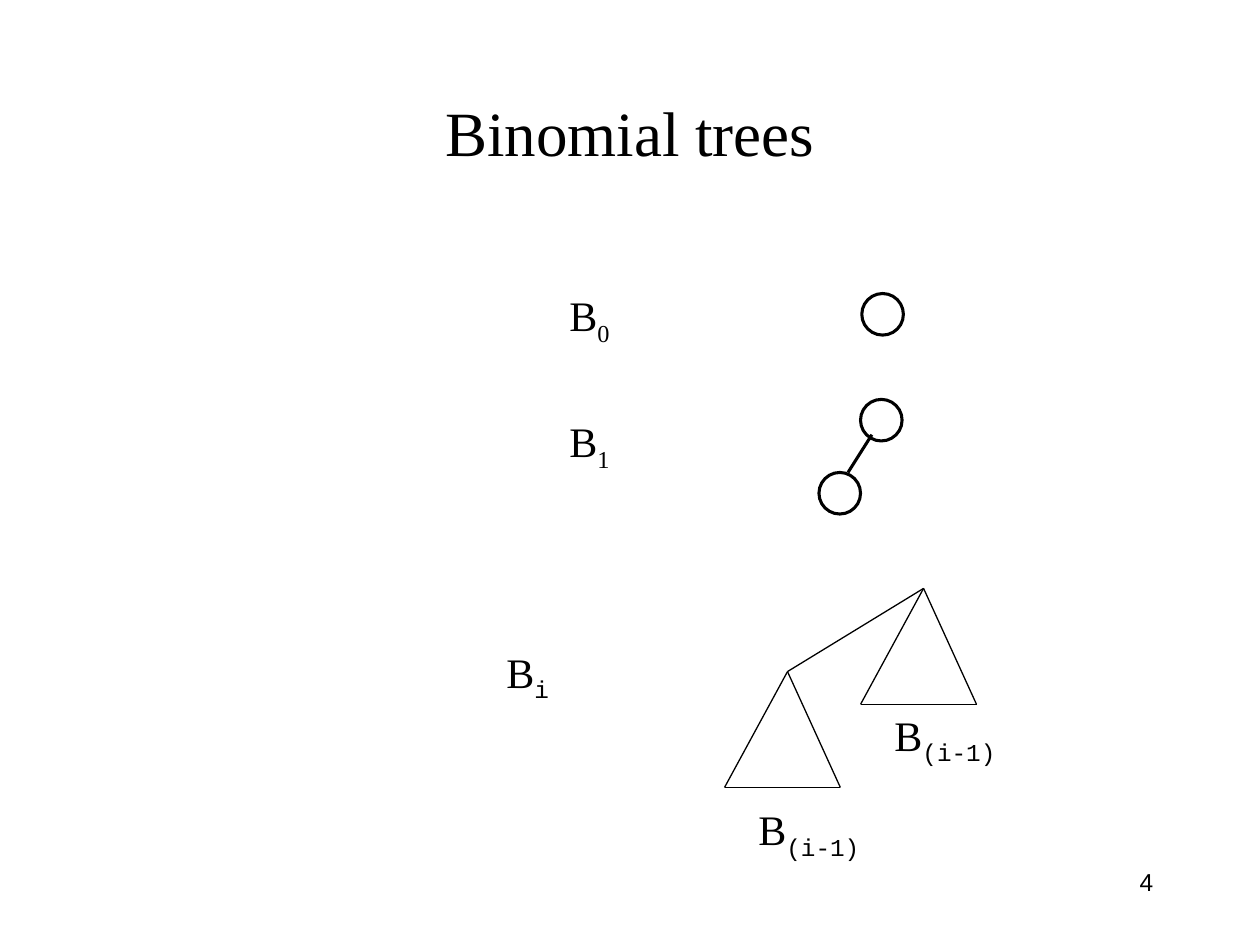
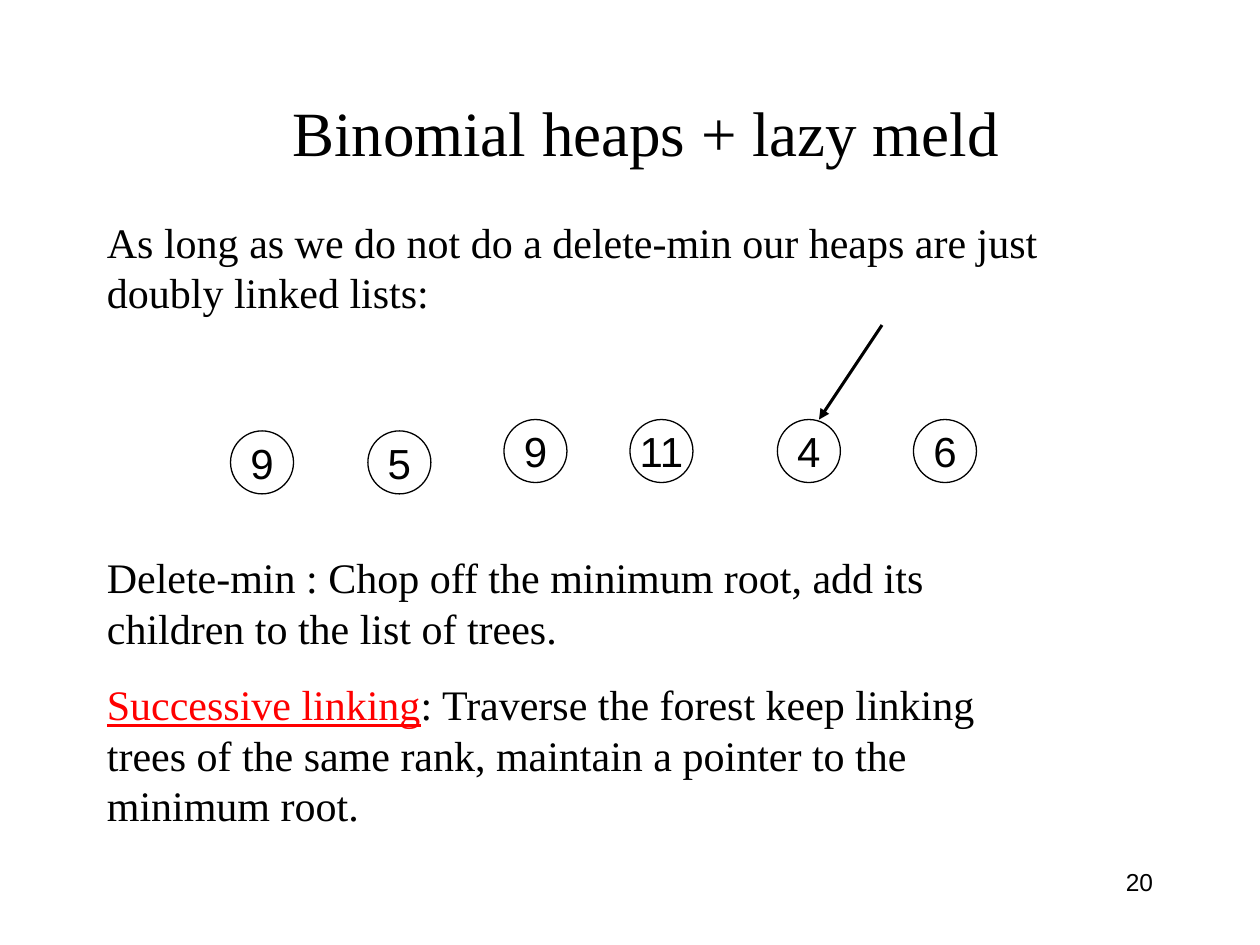
from itertools import pairwise

from pptx import Presentation
from pptx.dml.color import RGBColor
from pptx.enum.shapes import MSO_CONNECTOR, MSO_SHAPE
from pptx.enum.text import MSO_ANCHOR, PP_ALIGN
from pptx.oxml.ns import qn
from pptx.util import Inches, Pt
from lxml.etree import SubElement

INK, ACCENT = "000000", "FF0000"
SERIF, MONO, DIGITS = "Times New Roman", "Courier New", "Arial"
TITLE_SIZE, BODY_SIZE, NUMBER_SIZE = 36, 24, 14
THIN, THICK = 0.75, 1.75
PARA_GAP = 15
LABEL_HEIGHT = 0.56
NODE, KEY_NODE = 0.33, 0.5


def color(value):
    return RGBColor.from_string(value)


def add_span(para, text, size=BODY_SIZE, name=SERIF, ink=INK, underline=None):
    span = para.add_run()
    span.text = text
    formats = {"size": Pt(size), "name": name, "underline": underline}
    for key, value in formats.items():
        setattr(span.font, key, value)
    span.font.color.rgb = color(ink)
    return span


def add_subscript(para, text, name):
    span = add_span(para, text, name=name)
    span._r.get_or_add_rPr().set("baseline", "-25000")


def add_rtl_number(para, text, size):
    """Right-to-left digits, which take the complex-script font."""
    para._p.get_or_add_pPr().set("rtl", "1")
    span = add_span(para, text, size)
    SubElement(span._r.get_or_add_rPr(), qn("a:cs"), typeface=DIGITS)


def add_text(page, left, top, width, height, anchor=MSO_ANCHOR.TOP):
    box = page.shapes.add_textbox(*map(Inches, (left, top, width, height)))
    frame = box.text_frame
    frame.word_wrap = True
    frame.vertical_anchor = anchor
    return frame


def add_line(shapes, start, end, width=THIN, arrow=False):
    line = shapes.add_connector(MSO_CONNECTOR.STRAIGHT,
                                *map(Inches, (*start, *end)))
    line.line.color.rgb = color(INK)
    line.line.width = Pt(width)
    if arrow:
        SubElement(line.line._get_or_add_ln(), qn("a:tailEnd"), type="triangle")
    SubElement(line._element.spPr, qn("a:effectLst"))


def add_circle(page, left, top, size, width):
    circle = page.shapes.add_shape(
        MSO_SHAPE.OVAL, *map(Inches, (left, top, size, size)))
    circle.shadow.inherit = False
    circle.fill.background()
    circle.line.color.rgb = color(INK)
    circle.line.width = Pt(width)
    return circle


def add_page(deck, title, number, indent=0):
    page = deck.slides.add_slide(deck.slide_layouts[6])
    frame = add_text(page, 7.17, 6.83, 2.08, 0.5)
    frame.paragraphs[0].alignment = PP_ALIGN.RIGHT
    add_rtl_number(frame.paragraphs[0], number, NUMBER_SIZE)
    frame = add_text(page, 0.75, 0.42, 8.5, 1.25, MSO_ANCHOR.MIDDLE)
    frame.margin_left = Inches(0.1 + indent)
    frame.paragraphs[0].alignment = PP_ALIGN.CENTER
    add_span(frame.paragraphs[0], title, TITLE_SIZE)
    return page


def add_tree_label(page, left, top, width, rank, name=MONO):
    para = add_text(page, left, top, width, LABEL_HEIGHT).paragraphs[0]
    add_span(para, "B")
    add_subscript(para, rank, name)


def add_linked_pair(page, left, top):
    add_circle(page, left + 0.33, top, NODE, THICK)
    add_circle(page, left, top + 0.58, NODE, THICK)
    add_line(page.shapes, (left + 0.42, top + 0.28), (left + 0.23, top + 0.58),
             THICK)


def add_subtree(page, apex, label_offset):
    """Triangle hanging from its apex, with its label below."""
    x, y = apex
    corners = [apex, (x - 0.5, y + 0.92), (x + 0.42, y + 0.92), apex]
    group = page.shapes.add_group_shape()
    for start, end in pairwise(corners):
        add_line(group.shapes, start, end)
    add_tree_label(page, x - 0.33, y + label_offset, 1.25, "(i-1)")


def add_joined_subtrees(page, left, top):
    parent, child = (left + 1.58, top), (left + 0.5, top + 0.66)
    add_subtree(page, parent, 0.91)
    add_subtree(page, child, 1.0)
    add_line(page.shapes, parent, child)


def add_key_list(page, left, top):
    """Row of roots with an arrow to the minimum."""
    keys = [("9", 0, 0.09), ("5", 1.09, 0.09), ("9", 2.17, 0),
            ("11", 3.17, 0), ("4", 4.34, 0), ("6", 5.42, 0)]
    for key, dx, dy in keys:
        frame = add_circle(page, left + dx, top + dy, KEY_NODE, THIN).text_frame
        frame.word_wrap = False
        frame.vertical_anchor = MSO_ANCHOR.MIDDLE
        frame.paragraphs[0].alignment = PP_ALIGN.CENTER
        add_rtl_number(frame.paragraphs[0], key, BODY_SIZE)
    add_line(page.shapes, (left + 5.17, top - 0.75), (left + 4.67, top),
             THICK, arrow=True)


def add_delete_min_steps(page, left, top, width, height):
    frame = add_text(page, left, top, width, height)
    add_span(frame.paragraphs[0], "Delete-min : Chop off the minimum root, "
             "add its children to the list of trees.")
    para = frame.add_paragraph()
    para.space_before = Pt(PARA_GAP)
    add_span(para, "Successive linking", ink=ACCENT, underline=True)
    add_span(para, ": Traverse the forest keep linking trees of the same rank, "
             "maintain a pointer to the minimum root.")


def build_trees_page(deck):
    page = add_page(deck, "Binomial trees", "4")
    for rank in range(2):
        add_tree_label(page, 4.42, 2.25 + rank, 0.58, str(rank), SERIF)
    add_circle(page, 6.84, 2.33, NODE, THICK)
    add_linked_pair(page, 6.5, 3.17)
    add_tree_label(page, 3.92, 5.08, 1.25, "i")
    add_joined_subtrees(page, 5.75, 4.67)


def build_lazy_meld_page(deck):
    page = add_page(deck, "Binomial heaps + lazy meld", "20", indent=0.25)
    intro = add_text(page, 0.75, 1.67, 8.42, 0.9)
    add_span(intro.paragraphs[0], "As long as we do not do a delete-min our "
             "heaps are just doubly linked lists:")
    add_key_list(page, 1.83, 3.33)
    add_delete_min_steps(page, 0.75, 4.33, 7.58, 2.31)


def main():
    deck = Presentation()
    deck.slide_width, deck.slide_height = Inches(10), Inches(7.5)
    build_trees_page(deck)
    build_lazy_meld_page(deck)
    deck.save("out.pptx")


if __name__ == "__main__":
    main()
